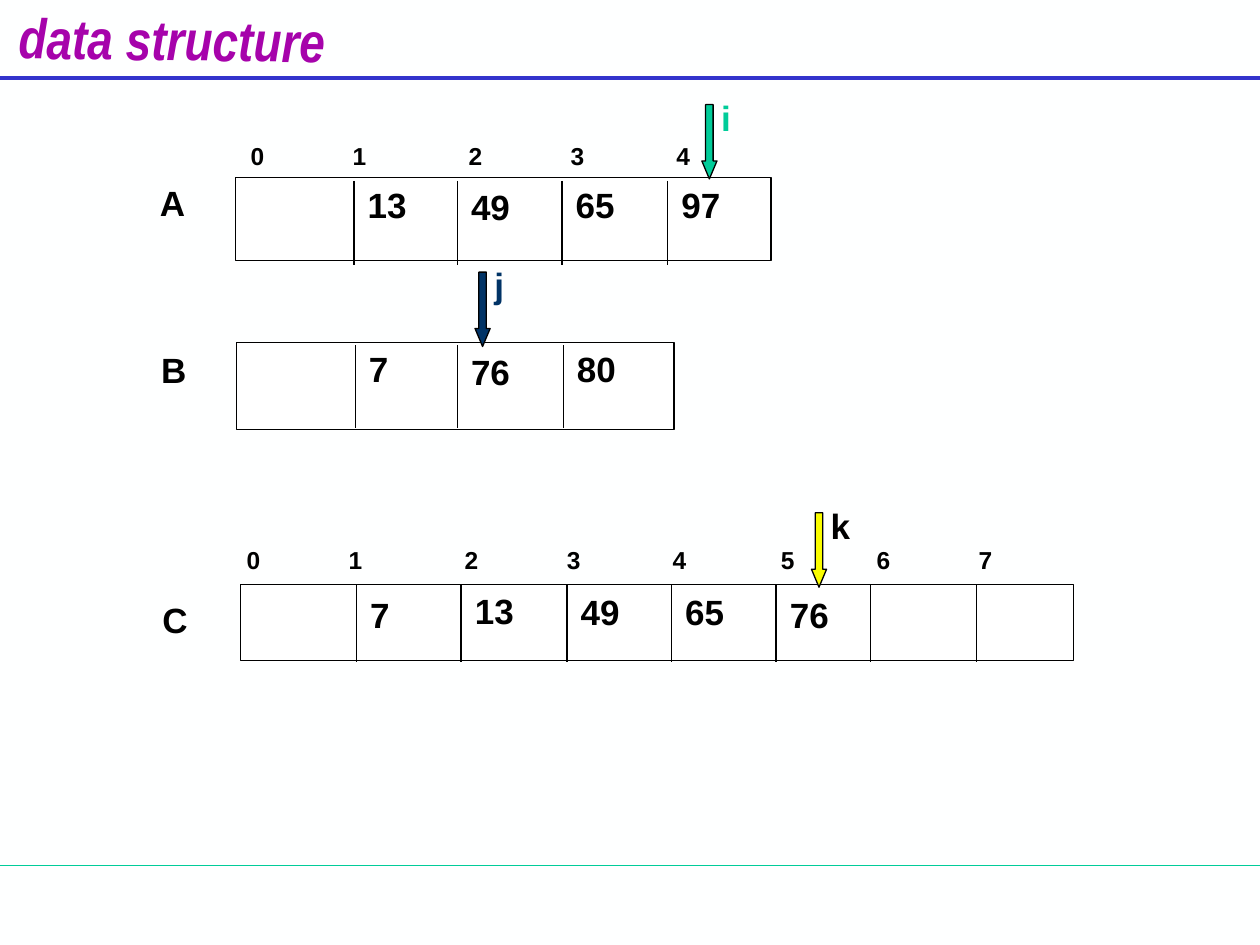
import pptx
import pptx.util
import pptx.dml.color
import pptx.enum.shapes
import pptx.enum.text
import lxml.etree
import pptx.oxml.ns

RGBColor = pptx.dml.color.RGBColor
BLACK = RGBColor(0, 0, 0)
WHITE = RGBColor(255, 255, 255)
PAPER = RGBColor(0xFE, 0xFF, 0xFF)
GREEN = RGBColor(0, 0xCC, 0x99)
BLUE = RGBColor(0x33, 0x33, 0xCC)
NAVY = RGBColor(0, 0x33, 0x66)
YELLOW = RGBColor(0xFA, 0xFD, 0)
PURPLE = RGBColor(0xA6, 0x03, 0xAB)
KIND = pptx.enum.shapes.MSO_SHAPE
qn = pptx.oxml.ns.qn

deck = pptx.Presentation()
deck.slide_width = pptx.util.Inches(10)
deck.slide_height = pptx.util.Inches(7.5)
col = deck.slide_width / 100
row = deck.slide_height / 75
slide = deck.slides.add_slide(deck.slide_layouts[6])
slide.background.fill.solid()
slide.background.fill.fore_color.rgb = PAPER


def write(shapes, text, x, y, w, h, size=20, color=BLACK, face="Arial", wrap=True):
    box = shapes.add_textbox(int(x * col), int(y * row), int(w * col), int(h * row))
    box.text_frame.word_wrap = wrap
    run = box.text_frame.paragraphs[0].add_run()
    run.text = text
    run.font.name = face
    run.font.size = pptx.util.Pt(size)
    run.font.bold = True
    run.font.color.rgb = color
    return box


def rule(x1, y1, x2, y2, color=BLACK, width=0.75):
    line = slide.shapes.add_connector(
        pptx.enum.shapes.MSO_CONNECTOR.STRAIGHT,
        int(x1 * col), int(y1 * row), int(x2 * col), int(y2 * row))
    line.line.color.rgb = color
    line.line.width = pptx.util.Pt(width)
    lxml.etree.SubElement(line._element.spPr, qn("a:effectLst"))


rule(0, 68.7, 100, 68.7, GREEN)
rule(0, 6.2, 100, 6.2, BLUE, 2.25)
title = write(slide.shapes, "data structure", 0.5, -0.1, 28, 5.4,
              32, PURPLE, "Arial Narrow", False)
title.rotation = 0.8
title.text_frame.paragraphs[0].runs[0].font.italic = True

lists = [
    ("A", (11.7, 13.9), (18.7, 14.1, 42.5, 6.6), (28.1, 36.3, 44.6, 53), (14.35, 21),
     (("13", 14.1), ("49", 14.2), ("65", 14.1), ("97", 14.1))),
    ("B", (11.8, 27.2), (18.8, 27.2, 34.7, 6.9), (28.2, 36.3, 44.7), (27.4, 34),
     (("7", 27.1), ("76", 27.3), ("80", 27.1))),
    ("C", (11.9, 47), (19.1, 46.4, 66.1, 6), (28.3, 36.6, 45, 53.3, 61.6, 69.1, 77.5),
     (46.4, 52.5),
     (("7", 46.6), ("13", 46.3), ("49", 46.4), ("65", 46.4), ("76", 46.6))),
]
for name, spot, (x, y, w, h), cuts, (top, end), cells in lists:
    frame = slide.shapes.add_shape(
        KIND.RECTANGLE, int(x * col), int(y * row), int(w * col), int(h * row))
    frame.shadow.inherit = False
    frame.fill.solid()
    frame.fill.fore_color.rgb = WHITE
    frame.line.color.rgb = BLACK
    frame.line.width = pptx.util.Pt(0.75)
    for cut in cuts:
        rule(cut, top, cut, end)
    for cut, (value, level) in zip(cuts, cells):
        write(slide.shapes, value, cut + 0.1, level, 6.7, 4.4)
    write(slide.shapes, name, *spot, 6.7, 4.4)

stops = (8.1, 17.3, 25.4, 33.8, 42.4, 50, 58.1)
for x, y, w, count in ((18.9, 10.7, 42.5, 5), (18.6, 42.8, 66.6, 8)):
    scale = write(slide.shapes, "\t".join(str(n) for n in range(count)), x, y, w, 3.4, 14)
    props = scale.text_frame.paragraphs[0]._p.get_or_add_pPr()
    tabs = lxml.etree.SubElement(props, qn("a:tabLst"))
    for stop in stops[:count - 1]:
        lxml.etree.SubElement(tabs, qn("a:tab"), pos=str(int(stop * col)), algn="l")

marks = [
    ("i", 55.7, 8.3, GREEN, GREEN),
    ("j", 37.7, 21.6, NAVY, NAVY),
    ("k", 64.4, 40.7, YELLOW, BLACK),
]
for name, x, y, fill, ink in marks:
    group = slide.shapes.add_group_shape()
    arrow = group.shapes.add_shape(
        KIND.DOWN_ARROW, int(x * col), int(y * row), int(1.2 * col), int(5.9 * row))
    arrow.adjustments[0] = 0.5
    arrow.adjustments[1] = 1.19
    arrow.shadow.inherit = False
    arrow.fill.solid()
    arrow.fill.fore_color.rgb = fill
    arrow.line.color.rgb = BLACK
    arrow.line.width = pptx.util.Pt(0.75)
    write(group.shapes, name, x + 0.55, y - 1.15, 5.3, 4.4, color=ink)

deck.save("out.pptx")
